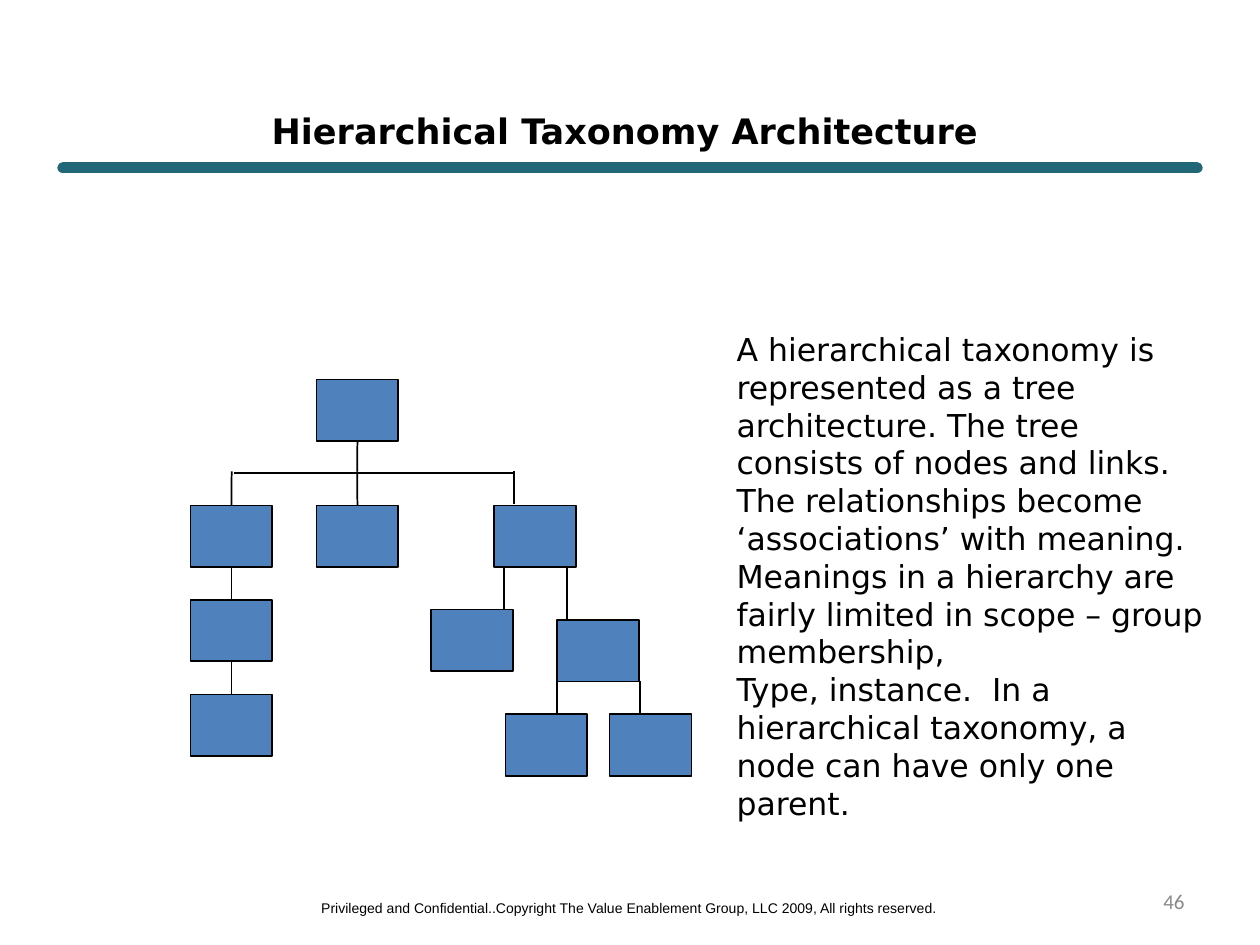
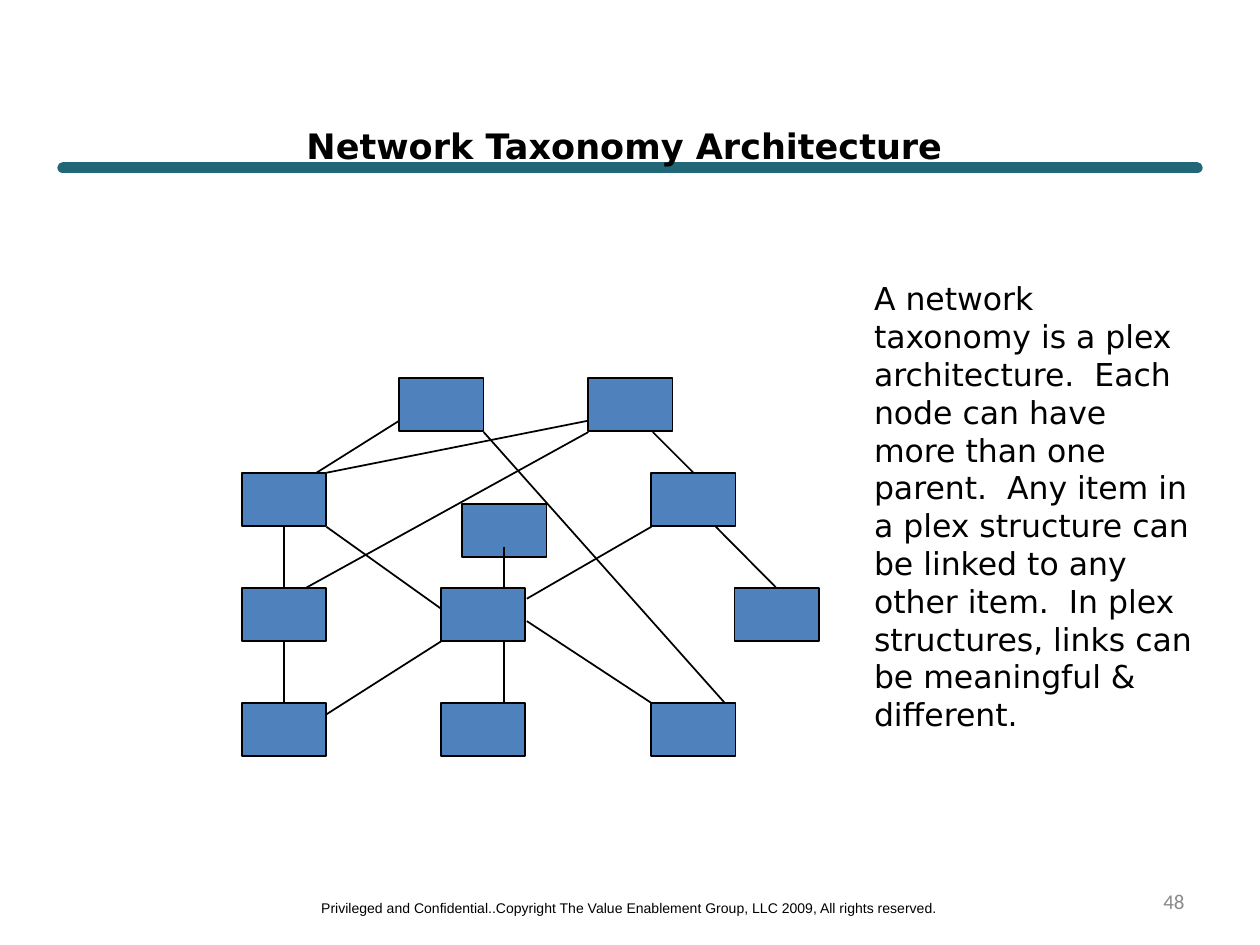
"""Build two slides on taxonomy architectures."""
from pptx import Presentation
from pptx.dml.color import RGBColor
from pptx.enum.shapes import MSO_CONNECTOR, MSO_SHAPE
from pptx.enum.text import MSO_ANCHOR, PP_ALIGN
from pptx.oxml.ns import qn
from pptx.util import Cm, Pt

BLACK = RGBColor(0x00, 0x00, 0x00)
GREY = RGBColor(0x89, 0x89, 0x89)
BLUE = RGBColor(0x4F, 0x81, 0xBD)
TEAL = RGBColor(0x21, 0x67, 0x78)
RECT = MSO_SHAPE.RECTANGLE
LINE = MSO_CONNECTOR.STRAIGHT
TOP, MIDDLE, LOW = MSO_ANCHOR.TOP, MSO_ANCHOR.MIDDLE, MSO_ANCHOR.BOTTOM
LEFT, CENTER, RIGHT = PP_ALIGN.LEFT, PP_ALIGN.CENTER, PP_ALIGN.RIGHT
SANS = "DejaVu Sans"
HEAD, FOOT = 0, 2
NOTICE = ("Privileged and Confidential..Copyright The Value Enablement Group, "
          "LLC 2009, All rights reserved.")

TREE_SIZE = (1.65, 1.24)
TREE_NODES = {
    "root": (6.38, 7.65),
    "left": (3.84, 10.19), "mid": (6.38, 10.19), "right": (9.96, 10.19),
    "east": (11.23, 12.5), "west": (8.69, 12.29),
    "child": (3.84, 12.09), "leaf": (3.84, 14),
    "east two": (12.29, 14.4), "east one": (10.19, 14.4),
}
TREE_LINKS = [
    (("root", FOOT), (7.2, 9.5)),
    (("left", HEAD), (4.67, 9.5)),
    ((4.72, 9.53), (10.34, 9.53)),
    ((10.36, 10.16), (10.36, 9.5)),
    (("mid", HEAD), (7.2, 9.5)),
    (("child", HEAD), ("left", FOOT)),
    (("leaf", HEAD), ("child", FOOT)),
    ((10.16, 12.29), (10.16, 11.4)),
    ((11.43, 12.5), (11.43, 11.4)),
    ((11.23, 14.4), (11.23, 13.72)),
    ((12.9, 14.4), (12.9, 13.72)),
]
TREE_TEXT = [
    "A hierarchical taxonomy is",
    "represented as a tree architecture. The tree consists of nodes and links. "
    "The relationships become ‘associations’ with meaning.  Meanings in a "
    "hierarchy are fairly limited in scope – group membership,",
    "Type, instance.  In a hierarchical taxonomy, a node can have only one "
    "parent.",
]

NET_SIZE = (1.7, 1.07)
NET_NODES = {
    "top one": (8.05, 7.62), "top two": (11.86, 7.62),
    "left": (4.88, 9.53), "mid": (9.32, 10.16), "right": (13.13, 9.53),
    "west": (4.88, 11.86), "hub": (8.89, 11.86), "east": (14.81, 11.86),
    "low one": (4.88, 14.17), "low two": (8.89, 14.17),
    "low three": (13.13, 14.17),
}
NET_LINKS = [
    ((8.05, 8.48), (6.38, 9.53)),
    ((11.86, 8.48), (6.58, 9.53)),
    ((13.16, 8.71), ("right", HEAD)),
    ((14.43, 10.62), ("east", HEAD)),
    ((10.16, 11.02), (10.16, 11.86)),
    ((10.16, 12.93), (10.16, 14.17)),
    ((9.75, 8.71), (14.61, 14.17)),
    ((13.13, 10.62), (10.62, 12.07)),
    ((8.89, 12.93), (6.58, 14.4)),
    (("left", FOOT), ("west", HEAD)),
    (("west", FOOT), ("low one", HEAD)),
    ((6.58, 10.62), (8.89, 12.27)),
    ((10.62, 12.52), (13.13, 14.17)),
    ((11.86, 8.71), (6.15, 11.86)),
]
NET_TEXT = [
    "A network taxonomy is a plex architecture.  Each node can have more than "
    "one parent.  Any item in a plex structure can be linked to any other "
    "item.  In plex structures, links can be meaningful & different.",
]


def add_text(slide, box, lines, size, font=SANS, color=BLACK, bold=False,
             align=LEFT, anchor=TOP, wrap=True):
    """Add a text box with one paragraph for each line."""
    frame = slide.shapes.add_textbox(*map(Cm, box)).text_frame
    frame.word_wrap = wrap
    frame.vertical_anchor = anchor
    for index, line in enumerate(lines):
        para = frame.add_paragraph() if index else frame.paragraphs[0]
        para.alignment = align
        run = para.add_run()
        run.text = line
        run.font.name = font
        run.font.size = Pt(size)
        run.font.bold = bold
        run.font.color.rgb = color


def add_line(slide, start, end, color=BLACK, width=1):
    """Add a straight line without a shadow."""
    line = slide.shapes.add_connector(LINE, *map(Cm, (*start, *end)))
    line.line.color.rgb = color
    line.line.width = Pt(width)
    props = line.element.spPr
    props.append(props.makeelement(qn("a:effectLst"), {}))
    return line


def add_node(slide, place, size):
    """Add one plain box of the diagram."""
    node = slide.shapes.add_shape(RECT, *map(Cm, (*place, *size)))
    node.shadow.inherit = False
    node.fill.solid()
    node.fill.fore_color.rgb = BLUE
    node.line.color.rgb = BLACK
    node.line.width = Pt(1)
    return node


def add_link(slide, nodes, start, end):
    """Link two ends, each a point or a (node name, side) pair."""
    points = [(0, 0) if spot[0] in nodes else spot for spot in (start, end)]
    line = add_line(slide, *points)
    for spot, join in ((start, line.begin_connect), (end, line.end_connect)):
        if spot[0] in nodes:
            join(nodes[spot[0]], spot[1])


def add_graph(slide, places, size, links):
    """Draw the nodes and then the links between them."""
    nodes = {name: add_node(slide, place, size)
             for name, place in places.items()}
    for start, end in links:
        add_link(slide, nodes, start, end)


def add_page(deck, title, box, number):
    """Add a slide with its band, footer, title and number."""
    slide = deck.slides.add_slide(deck.slide_layouts[6])
    band = add_line(slide, (1.27, 3.38), (24.13, 3.38), TEAL, 6.5)
    band.element.spPr.find(qn("a:ln")).set("cap", "rnd")
    add_text(slide, (6.2, 18.01, 12.98, 0.61), [NOTICE], 8, "Arial",
             align=CENTER, wrap=False)
    add_text(slide, box, [title], 20, bold=True, align=CENTER, anchor=LOW)
    add_text(slide, (18.21, 17.65, 5.92, 1.02), [number], 12, "Calibri",
             GREY, align=RIGHT, anchor=MIDDLE)
    return slide


def main():
    """Build and save the deck."""
    deck = Presentation()
    deck.slide_width, deck.slide_height = Cm(25.4), Cm(19.05)

    tree = add_page(deck, "Hierarchical Taxonomy Architecture",
                    (1.07, 1.09, 23.06, 2.08), "46")
    add_graph(tree, TREE_NODES, TREE_SIZE, TREE_LINKS)
    add_text(tree, (14.6, 6.53, 9.96, 10.16), TREE_TEXT, 18)

    net = add_page(deck, "Network Taxonomy Architecture",
                   (0.84, 1.73, 23.5, 1.75), "48")
    add_graph(net, NET_NODES, NET_SIZE, NET_LINKS)
    add_text(net, (17.37, 5.51, 6.99, 8.64), NET_TEXT, 18)

    deck.save("out.pptx")


if __name__ == "__main__":
    main()
